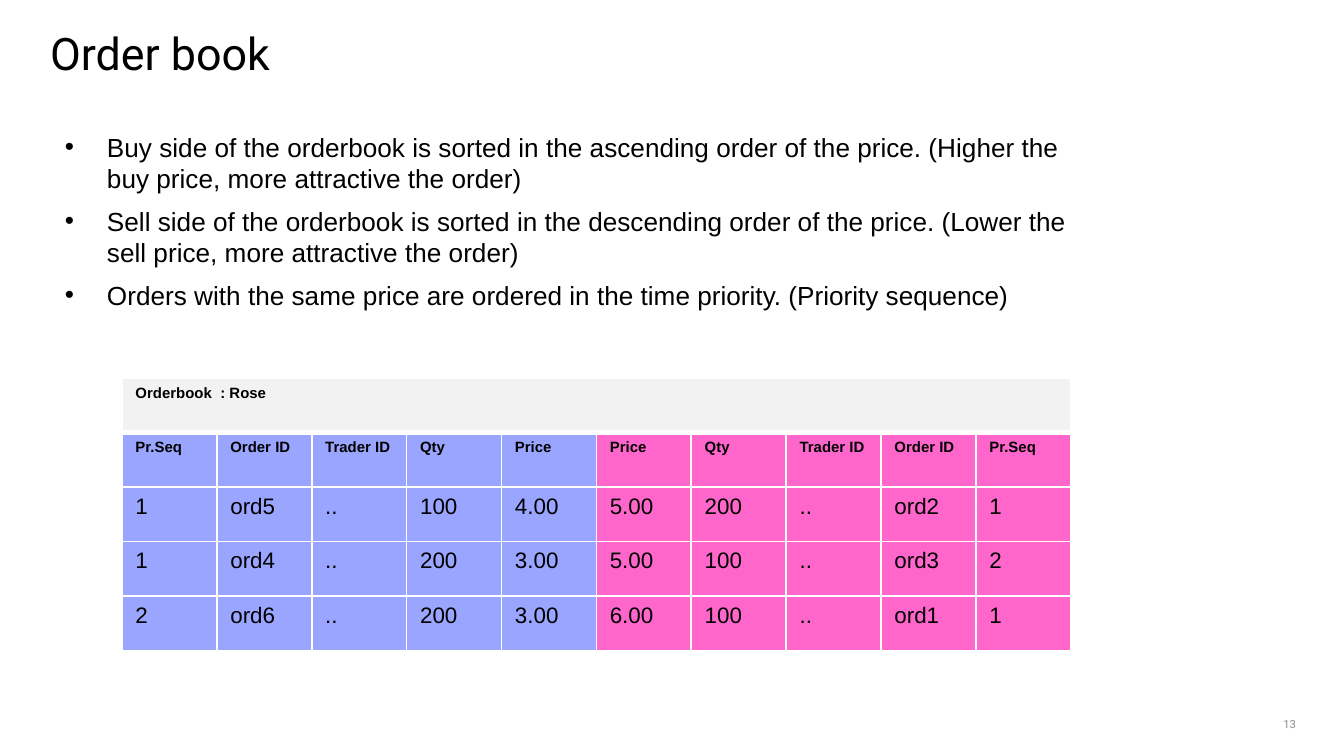
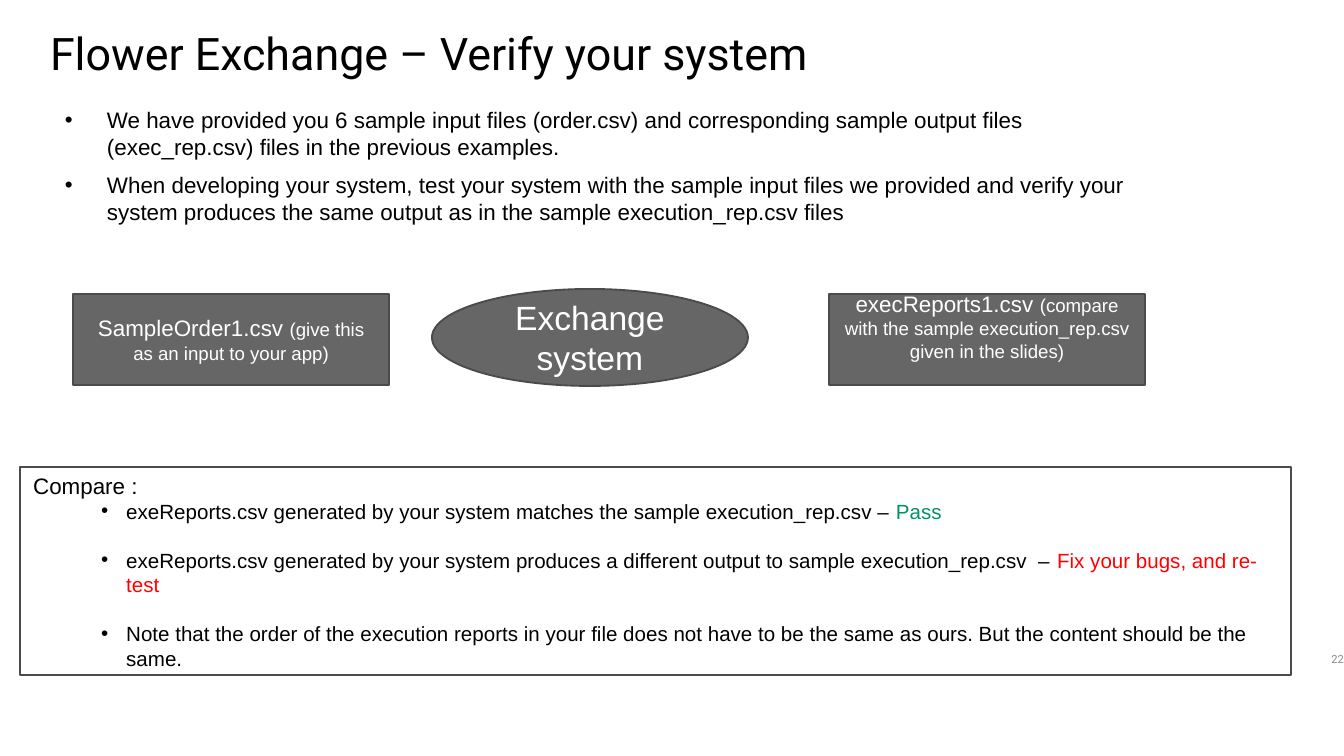
import pptx
import pptx.dml.color
import pptx.enum.shapes
import pptx.enum.text
import pptx.util
from lxml import etree
from pptx.oxml.ns import qn

RGB = pptx.dml.color.RGBColor
SHAPE = pptx.enum.shapes.MSO_SHAPE
ALIGN = pptx.enum.text.PP_ALIGN
ANCHOR = pptx.enum.text.MSO_ANCHOR

BLACK = RGB(0x00, 0x00, 0x00)
WHITE = RGB(0xFF, 0xFF, 0xFF)
NUMBER_GREY = RGB(0x8C, 0x8C, 0x8C)
BOX_GREY = RGB(0x66, 0x66, 0x66)
BOX_EDGE = RGB(0x4B, 0x4B, 0x4B)
HEADING_GREY = RGB(0xF2, 0xF2, 0xF2)
BUY_BLUE = RGB(0x99, 0xA5, 0xFF)
SELL_PINK = RGB(0xFF, 0x66, 0xCC)
PASS_GREEN = RGB(0x00, 0x92, 0x67)
FIX_RED = RGB(0xFF, 0x00, 0x00)

# Content: a paragraph is a list of runs, a run is (text, format changes)
ORDER_BOOK = {
    "title": "Order book",
    "number": "13",
    "number_at": (1242, 698, 54, 33),
    "points": [
        "Buy side of the orderbook is sorted in the ascending order of the price. "
        "(Higher the buy price, more attractive the order)",
        "Sell side of the orderbook is sorted in the descending order of the price. "
        "(Lower the sell price, more attractive the order)",
        "Orders with the same price are ordered in the time priority. (Priority sequence)",
    ],
    "points_at": (65, 131, 1005, 310),
    "points_size": 14,
}
VERIFY = {
    "title": "Flower Exchange – Verify your system",
    "number": "22",
    "number_at": (1290, 633, 54, 33),
    "points": [
        "We have provided you 6 sample input files (order.csv) and corresponding "
        "sample output files (exec_rep.csv) files in the previous examples.",
        "When developing your system, test your system with the sample input files "
        "we provided and verify your system produces the same output as in the "
        "sample execution_rep.csv files",
    ],
    "points_at": (65, 106, 1107, 120),
    "points_size": 12,
}

BOOK_HEADING = "Orderbook  : Rose"
BUY_COLUMNS = ["Pr.Seq", "Order ID", "Trader ID", "Qty", "Price"]
BUY_ORDERS = [
    ["1", "ord5", "..", "100", "4.00"],
    ["1", "ord4", "..", "200", "3.00"],
    ["2", "ord6", "..", "200", "3.00"],
]
SELL_ORDERS = [
    ["5.00", "200", "..", "ord2", "1"],
    ["5.00", "100", "..", "ord3", "2"],
    ["6.00", "100", "..", "ord1", "1"],
]
BOOK_AT = (122, 378, 949, 273)

# Outline, place, runs, bottom inset
FLOW = [
    (SHAPE.RECTANGLE, (73, 294, 316, 91),
     [("SampleOrder1.csv ", {"size": 12}),
      ("(give this as an input to your app)", {"size": 10})], 7),
    (SHAPE.OVAL, (432, 289, 316, 97), [("Exchange system", {"size": 18})], 7),
    (SHAPE.RECTANGLE, (829, 294, 316, 91),
     [("execReports1.csv ", {"size": 12}),
      ("(compare with the sample execution_rep.csv given in the slides)", {"size": 10})], 33),
]
COMPARE_AT = (20, 467, 1271, 208)
COMPARE_HEADING = "Compare :"
OUTCOMES = [
    [("exeReports.csv generated by your system matches the sample execution_rep.csv – ", {}),
     ("Pass", {"color": PASS_GREEN})],
    [("exeReports.csv generated by your system produces a different output to sample "
      "execution_rep.csv  – ", {}),
     ("Fix your bugs, and re-test", {"color": FIX_RED})],
    [("Note that the order of the execution reports in your file does not have to be "
      "the same as ours. But the content should be the same.", {})],
]


def px(length):
    return pptx.util.Emu(round(length * 914400 / 134.4))


def place(box):
    return [px(length) for length in box]


def write(frame, runs, size=12, font="Arial", color=BLACK, bold=False, align=ALIGN.LEFT,
          before=0, after=0, bullet=None, more=False):
    """Fill the first paragraph, or add one if more; bullet is (left margin, hang)."""
    paragraph = frame.add_paragraph() if more else frame.paragraphs[0]
    paragraph.alignment = align
    paragraph.space_before = pptx.util.Pt(before)
    paragraph.space_after = pptx.util.Pt(after)
    if bullet:
        margin, hang = bullet
        properties = paragraph._p.get_or_add_pPr()
        properties.set("marL", str(px(margin)))
        properties.set("indent", str(-px(hang)))
        etree.SubElement(properties, qn("a:buFont")).set("typeface", "Arial")
        etree.SubElement(properties, qn("a:buChar")).set("char", "•")
    for text, changes in [(runs, {})] if isinstance(runs, str) else runs:
        look = {"size": size, "color": color, **changes}
        run = paragraph.add_run()
        run.text = text
        run.font.name = font
        run.font.size = pptx.util.Pt(look["size"])
        run.font.bold = bold
        run.font.color.rgb = look["color"]


def add_text_area(slide, box, anchor=ANCHOR.TOP):
    frame = slide.shapes.add_textbox(*place(box)).text_frame
    frame.word_wrap = True
    frame.vertical_anchor = anchor
    frame.margin_left = frame.margin_right = frame.margin_top = frame.margin_bottom = 0
    return frame


def add_box(slide, outline, box, fill=None):
    shape = slide.shapes.add_shape(outline, *place(box))
    shape.shadow.inherit = False
    if fill is None:
        shape.fill.background()
    else:
        shape.fill.solid()
        shape.fill.fore_color.rgb = fill
    shape.line.color.rgb = BOX_EDGE
    shape.line.width = pptx.util.Pt(1)
    shape.text_frame.word_wrap = True
    shape.text_frame.vertical_anchor = ANCHOR.MIDDLE
    return shape.text_frame


def start_slide(deck, content):
    """Title, slide number and opening bullets, common to the slides."""
    slide = deck.slides.add_slide(deck.slide_layouts[6])
    write(add_text_area(slide, (50, 26, 1245, 70)), content["title"], size=24, font="Roboto")
    write(add_text_area(slide, content["number_at"], ANCHOR.BOTTOM), content["number"],
          size=6, font="Roboto", color=NUMBER_GREY, align=ALIGN.RIGHT)
    points = add_text_area(slide, content["points_at"])
    for index, point in enumerate(content["points"]):
        write(points, point, size=content["points_size"], after=6, bullet=(42, 42),
              more=index > 0)
    return slide


def style_cell(cell, fill, top=1, bottom=1):
    cell.fill.solid()
    cell.fill.fore_color.rgb = fill
    properties = cell._tc.get_or_add_tcPr()
    edges = [("a:lnL", 1), ("a:lnR", 1), ("a:lnT", top), ("a:lnB", bottom)]
    for index, (edge, width) in enumerate(edges):
        line = etree.Element(qn(edge), w=str(pptx.util.Pt(width)))
        solid = etree.SubElement(line, qn("a:solidFill"))
        etree.SubElement(solid, qn("a:srgbClr")).set("val", str(WHITE))
        properties.insert(index, line)


def add_book(slide):
    rows = [BUY_COLUMNS + BUY_COLUMNS[::-1]]
    rows += [buy + sell for buy, sell in zip(BUY_ORDERS, SELL_ORDERS)]
    row_count, column_count = len(rows) + 1, len(rows[0])
    book = slide.shapes.add_table(row_count, column_count, *place(BOOK_AT)).table
    for column in book.columns:
        column.width = px(BOOK_AT[2] / column_count)
    for row in book.rows:
        row.height = px(BOOK_AT[3] / row_count)

    # Heading across all columns
    for column in range(column_count):
        style_cell(book.cell(0, column), HEADING_GREY, bottom=3)
    book.cell(0, 0).merge(book.cell(0, column_count - 1))
    write(book.cell(0, 0).text_frame, BOOK_HEADING, size=8, bold=True)

    # Buy side on the left, sell side on the right
    for row, values in enumerate(rows, start=1):
        names = row == 1
        for column, value in enumerate(values):
            cell = book.cell(row, column)
            style_cell(cell, BUY_BLUE if column < len(BUY_COLUMNS) else SELL_PINK,
                       top=3 if names else 1)
            write(cell.text_frame, value, size=8 if names else 12, bold=names)


def add_verification(slide):
    # From input through the system to its reports
    for outline, box, runs, bottom in FLOW:
        frame = add_box(slide, outline, box, BOX_GREY)
        frame.margin_bottom = px(bottom)
        write(frame, runs, color=WHITE, align=ALIGN.CENTER)

    # Outcomes of the comparison
    compare = add_box(slide, SHAPE.RECTANGLE, COMPARE_AT)
    write(compare, COMPARE_HEADING)
    for index, outcome in enumerate(OUTCOMES):
        write(compare, outcome, size=11, before=13 if index else 0, bullet=(93, 25), more=True)


def main():
    deck = pptx.Presentation()
    deck.slide_width, deck.slide_height = px(1344), px(756)
    add_book(start_slide(deck, ORDER_BOOK))
    add_verification(start_slide(deck, VERIFY))
    deck.save("out.pptx")


if __name__ == "__main__":
    main()
